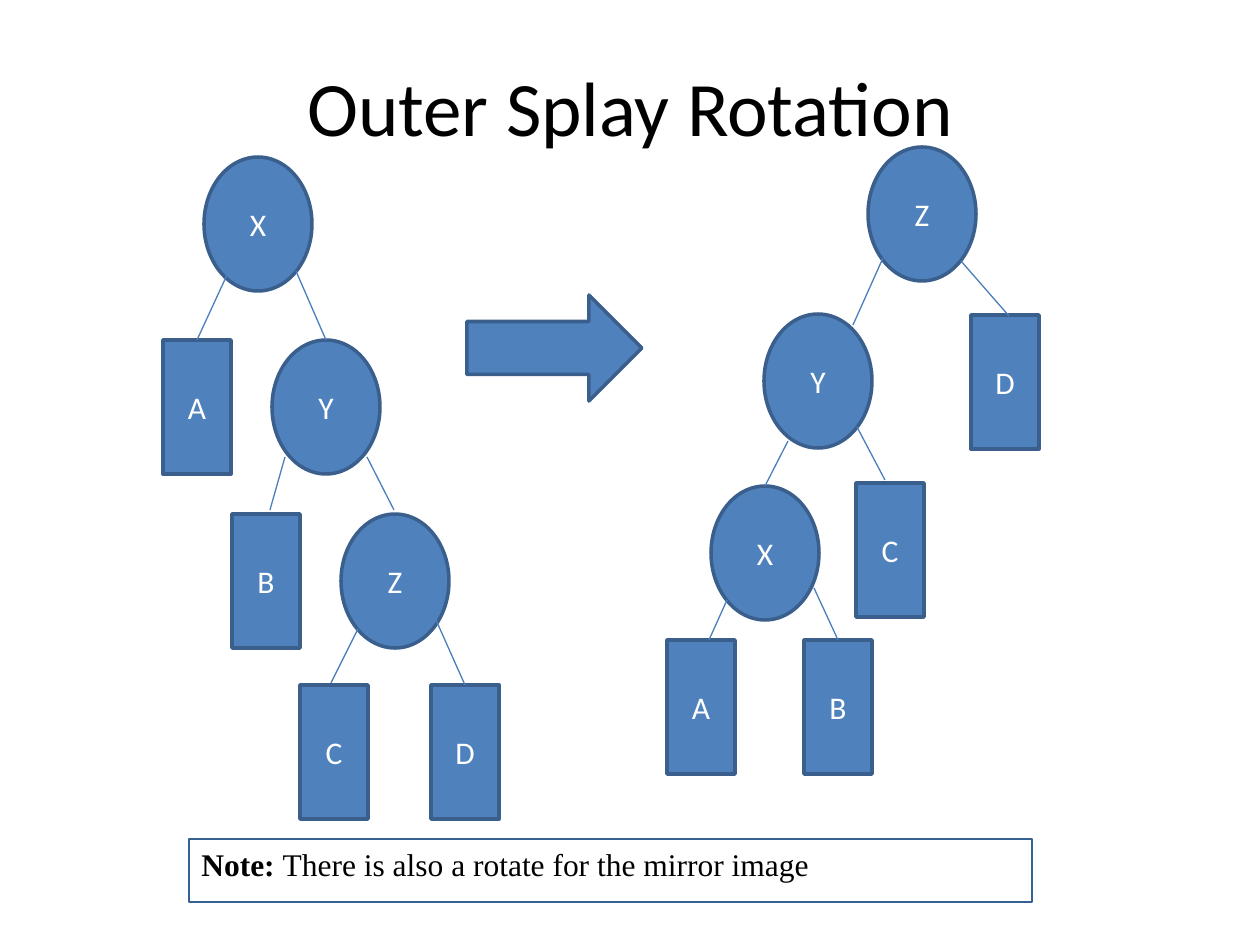
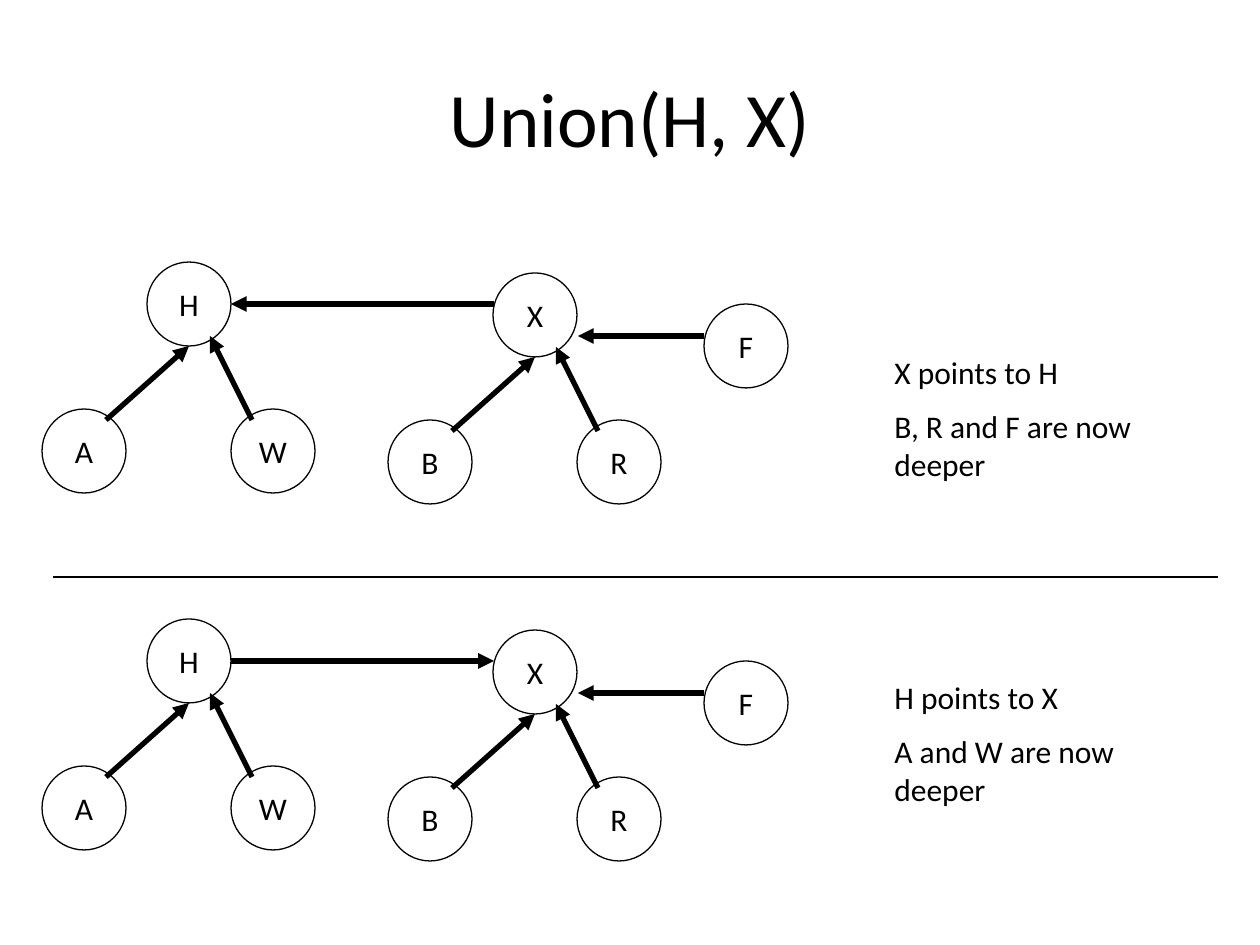
from lxml.etree import SubElement
from pptx import Presentation
from pptx.dml.color import RGBColor
from pptx.enum.shapes import MSO_CONNECTOR as Connector, MSO_SHAPE as Shape
from pptx.enum.text import MSO_ANCHOR as Anchor, PP_ALIGN as Align
from pptx.oxml.ns import qn
from pptx.util import Emu, Pt

EMU_PER_PX = 914400 / 126
COLORS = {"ink": "000000", "white": "FFFFFF", "node": "4F81BD",
          "node_edge": "3A5F8C", "branch": "4B7EBC", "note_edge": "376092"}
SANS, SERIF = "Calibri", "Times New Roman"
TITLE_ONLY = 5

NODE_HEIGHT, KEY_WIDTH, SUBTREE_WIDTH = 134, 108, 68
DISC = 84

BEFORE = {
    "nodes": {"X": (41, 0), "A": (0, 183), "Y": (109, 183), "B": (69, 357),
              "Z": (178, 357), "C": (137, 528), "D": (268, 528)},
    "branches": [("A", (64, 118), None), ("Y", (133, 114), None),
                 ("B", (122, 300), (107, 353)), ("Z", (204, 300), (231, 353)),
                 ("C", (195, 472), (168, 526)), ("D", (273, 463), None)],
}
AFTER = {
    "nodes": {"Z": (201, 0), "Y": (97, 167), "D": (304, 168), "X": (44, 339),
              "C": (189, 336), "A": (0, 493), "B": (137, 493)},
    "branches": [("Y", (216, 111), (186, 178)), ("D", (294, 114), (342, 169)),
                 ("X", (121, 294), None), ("C", (190, 280), (218, 333)),
                 ("A", (60, 453), (42, 493)), ("B", (147, 441), None)],
}


def px(length):
    """Turn a length in px into EMU."""
    return Emu(round(length * EMU_PER_PX))


def rgb(name):
    """Look up a named colour."""
    return RGBColor.from_string(COLORS[name])


def style_text(para, size=18, color="ink", font=SANS, align=None):
    """Set the font and alignment of a paragraph."""
    para.font.size, para.font.name = Pt(size), font
    para.font.color.rgb = rgb(color)
    para.alignment = align


def add_page(deck, title, box):
    """Add a slide whose title fills the given box."""
    page = deck.slides.add_slide(deck.slide_layouts[TITLE_ONLY])
    holder = page.shapes.title
    holder.left, holder.top, holder.width, holder.height = map(px, box)
    holder.text_frame.text = title
    holder.text_frame.vertical_anchor = Anchor.MIDDLE
    style_text(holder.text_frame.paragraphs[0], size=44, align=Align.CENTER)
    return page


def add_figure(page, kind, box, edge, weight, fill=None, label="", color="white"):
    """Add a preset shape with an optional fill and centred label."""
    figure = page.shapes.add_shape(kind, *map(px, box))
    figure.shadow.inherit = False
    if fill:
        figure.fill.solid()
        figure.fill.fore_color.rgb = rgb(fill)
    else:
        figure.fill.background()
    figure.line.color.rgb = rgb(edge)
    figure.line.width = Pt(weight)
    if label:
        figure.text_frame.text = label
        figure.text_frame.vertical_anchor = Anchor.MIDDLE
        style_text(figure.text_frame.paragraphs[0], color=color, align=Align.CENTER)
    return figure


def add_line(page, start, end, color="ink", weight=0.75, arrow=False):
    """Add a straight line, with an arrowhead at its end if wanted."""
    line = page.shapes.add_connector(Connector.STRAIGHT, *map(px, (*start, *end)))
    line.line.color.rgb = rgb(color)
    line.line.width = Pt(weight)
    properties = line._element.spPr
    if arrow:
        SubElement(properties.find(qn("a:ln")), qn("a:tailEnd"), type="triangle")
    SubElement(properties, qn("a:effectLst"))
    return line


def draw_splay_tree(page, left, top, tree):
    """Draw oval keys X, Y, Z, boxed subtrees and their branches."""
    figures = {}
    for name, (x, y) in tree["nodes"].items():
        is_key = name in "XYZ"
        kind = Shape.OVAL if is_key else Shape.RECTANGLE
        width = KEY_WIDTH if is_key else SUBTREE_WIDTH
        figures[name] = add_figure(page, kind, (left + x, top + y, width, NODE_HEIGHT),
                                   "node_edge", 2, "node", name)
    for child, start, end in tree["branches"]:
        ends = [(left + x, top + y) for x, y in (start, end or start)]
        branch = add_line(page, *ends, color="branch")
        if end is None:
            branch.end_connect(figures[child], 0)


def draw_note(page, box):
    """Draw the outlined note under the trees."""
    note = add_figure(page, Shape.RECTANGLE, box, "note_edge", 0.75)
    frame = note.text_frame
    frame.word_wrap = True
    frame.vertical_anchor = Anchor.TOP
    para = frame.paragraphs[0]
    para.add_run().text = "Note: "
    para.add_run().text = "There is also a rotate for the mirror image"
    para.runs[0].font.bold = True
    style_text(para, font=SERIF, align=Align.LEFT)


def draw_disc(page, left, top, name):
    """Draw one round set element."""
    disc = add_figure(page, Shape.OVAL, (left, top, DISC, DISC), "ink", 0.75,
                      label=name, color="ink")
    disc.text_frame.word_wrap = False


def draw_pointer(page, left, top, start, end):
    """Draw a thick arrow between two points of a region."""
    add_line(page, (left + start[0], top + start[1]), (left + end[0], top + end[1]),
             weight=3, arrow=True)


def draw_set(page, left, top, root, children):
    """Draw a root with two children pointing up to it."""
    draw_disc(page, left + 105, top, root)
    for name, x in zip(children, (0, 189)):
        draw_disc(page, left + x, top + 147, name)
    draw_pointer(page, left, top, (64, 158), (147, 84))
    draw_pointer(page, left, top, (210, 158), (168, 74))


def draw_forest(page, left, top, root_link):
    """Draw the sets of H and X, joined by the given root link."""
    draw_set(page, left, top, "H", "AW")
    draw_set(page, left + 346, top + 11, "X", "BR")
    draw_disc(page, left + 662, top + 42, "F")
    draw_pointer(page, left, top, (662, 74), (536, 74))
    draw_pointer(page, left, top, *root_link)


def draw_remarks(page, box, remarks):
    """Write the remarks beside a forest."""
    frame = page.shapes.add_textbox(*map(px, box)).text_frame
    frame.word_wrap = True
    for index, remark in enumerate(remarks):
        para = frame.add_paragraph() if index else frame.paragraphs[0]
        para.text = remark
        style_text(para)
        if index:
            para.space_before = Pt(9)


def build_splay_page(deck):
    """Build the slide on the outer splay rotation."""
    page = add_page(deck, "Outer Splay Rotation", (95, 53, 1071, 105))
    draw_splay_tree(page, 163, 157, BEFORE)
    add_figure(page, Shape.RIGHT_ARROW, (467, 295, 175, 106), "node_edge", 2, "node")
    draw_splay_tree(page, 667, 147, AFTER)
    draw_note(page, (189, 839, 843, 63))


def build_union_page(deck):
    """Build the slide comparing both ways to unite H and X."""
    page = add_page(deck, "Union(H, X)", (63, 38, 1134, 158))
    h_side, x_side = (189, 42), (452, 42)
    draw_forest(page, 42, 262, (x_side, h_side))
    draw_forest(page, 42, 619, (h_side, x_side))
    add_line(page, (53, 577), (1218, 577))
    draw_remarks(page, (882, 347, 315, 189), ["X points to H", "B, R and F are now deeper"])
    draw_remarks(page, (882, 672, 294, 189), ["H points to X", "A and W are now deeper"])


def main():
    """Build and save the deck."""
    deck = Presentation()
    deck.slide_width, deck.slide_height = px(1260), px(945)
    build_splay_page(deck)
    build_union_page(deck)
    deck.save("out.pptx")


if __name__ == "__main__":
    main()
